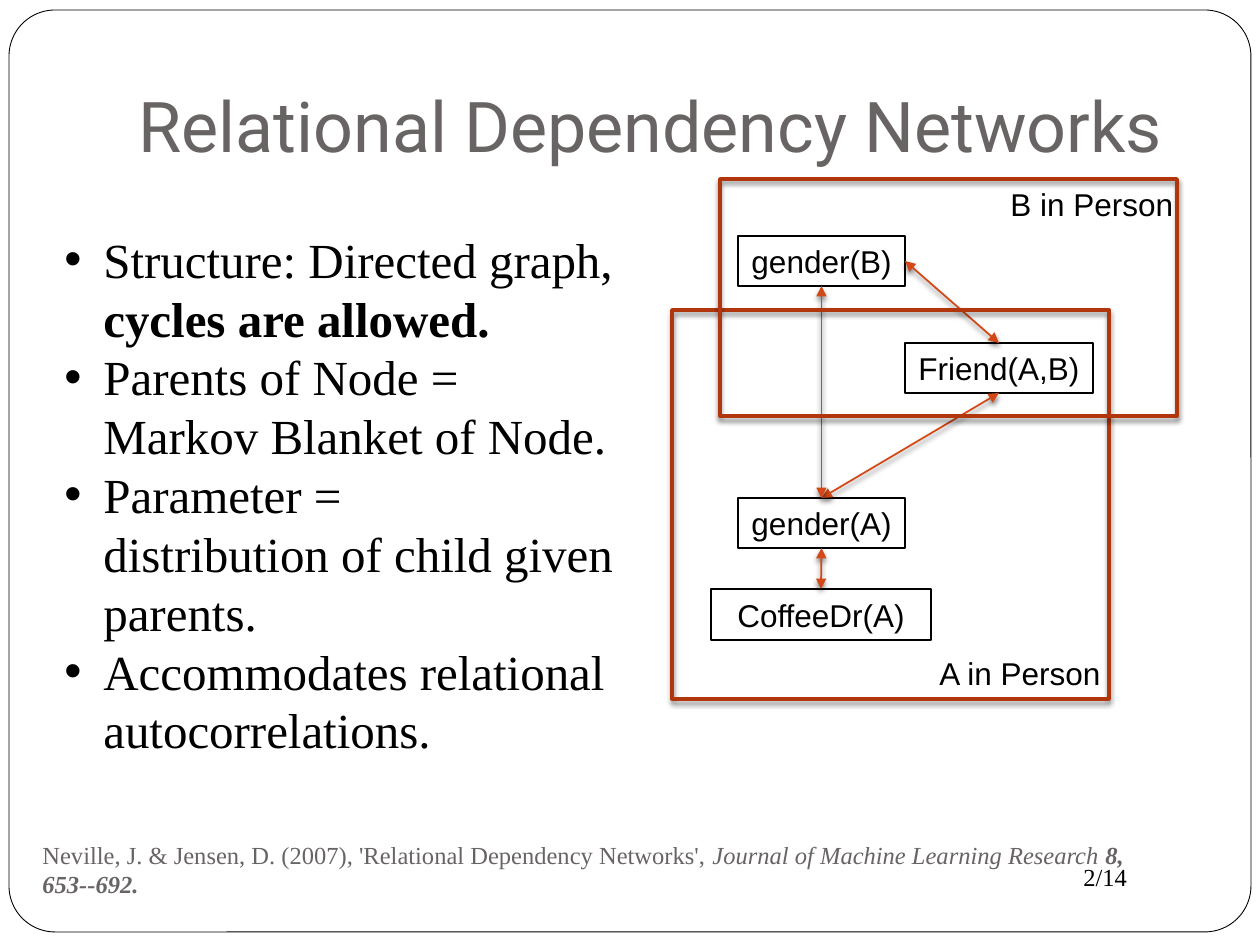
from lxml.etree import SubElement
from pptx import Presentation
from pptx.dml.color import RGBColor
from pptx.enum.shapes import MSO_CONNECTOR, MSO_SHAPE
from pptx.enum.text import MSO_ANCHOR, MSO_AUTO_SIZE, PP_ALIGN
from pptx.oxml.ns import qn
from pptx.util import Emu, Pt

PX = 914400 / 126
COLORS = {"black": "000000", "white": "FFFFFF", "gray": "696464",
          "arrow": "D34817", "frame": "B1360B"}
SERIF = {"name": "Times New Roman"}
LABEL = {"name": "Arial", "size": Pt(18)}


def px(*lengths):
    return [Emu(round(length * PX)) for length in lengths]


def color(name):
    return RGBColor.from_string(COLORS[name])


def set_values(target, values):
    for name, value in values.items():
        setattr(target, name, value)


def add_xml(parent, tag, **attributes):
    return SubElement(parent, qn(tag), attributes)


def add_runs(paragraph, runs, font, color_name):
    for text, extra in runs:
        if text == "\n":
            paragraph.add_line_break()
            continue
        run = paragraph.add_run()
        run.text = text
        set_values(run.font, {**font, **extra})
        run.font.color.rgb = color(color_name)


def add_text(slide, box, runs, font, color_name="black", **frame_format):
    frame = slide.shapes.add_textbox(*px(*box)).text_frame
    set_values(frame, {"word_wrap": True, **frame_format})
    add_runs(frame.paragraphs[0], runs, font, color_name)


def add_bullets(slide, box, items):
    frame = slide.shapes.add_textbox(*px(*box)).text_frame
    frame.word_wrap = True
    for index, runs in enumerate(items):
        paragraph = frame.add_paragraph() if index else frame.paragraphs[0]
        properties = paragraph._p.get_or_add_pPr()
        indent = px(39)[0]
        properties.set("marL", str(indent))
        properties.set("indent", str(-indent))
        add_xml(properties, "a:buFont", typeface="Arial")
        add_xml(properties, "a:buChar", char="•")
        add_runs(paragraph, runs, {**SERIF, "size": Pt(28)}, "black")


def add_shadow(shape):
    effects = add_xml(shape._element.spPr, "a:effectLst")
    shadow = add_xml(effects, "a:outerShdw", blurRad=str(Pt(3)), dist=str(Pt(2)),
                     dir="5400000", rotWithShape="0")
    shade = add_xml(shadow, "a:srgbClr", val=COLORS["black"])
    add_xml(shade, "a:alpha", val="50000")


def add_outline(slide, box, line_color, width, kind=MSO_SHAPE.RECTANGLE):
    shape = slide.shapes.add_shape(kind, *px(*box))
    shape.fill.background()
    shape.line.color.rgb = color(line_color)
    shape.line.width = Pt(width)
    return shape


def add_border(slide):
    border = add_outline(slide, (9, 10, 1242, 922), "black", 0.5, MSO_SHAPE.ROUNDED_RECTANGLE)
    border.shadow.inherit = False
    border.adjustments[0] = 0.05
    border.fill.solid()
    border.fill.fore_color.rgb = color("white")
    slide.shapes.title._element.addprevious(border._element)


def add_frame(slide, box):
    add_shadow(add_outline(slide, box, "frame", 2))


def add_node(slide, box, text):
    node = add_outline(slide, box, "black", 0.75)
    node.shadow.inherit = False
    set_values(node.text_frame, {"word_wrap": False, "vertical_anchor": MSO_ANCHOR.MIDDLE})
    paragraph = node.text_frame.paragraphs[0]
    paragraph.alignment = PP_ALIGN.CENTER
    add_runs(paragraph, [(text, {})], LABEL, "black")


def add_arrow(slide, start, end):
    arrow = slide.shapes.add_connector(MSO_CONNECTOR.STRAIGHT, *px(*start, *end))
    arrow.line.color.rgb = color("arrow")
    arrow.line.width = Pt(1)
    line = arrow.line._get_or_add_ln()
    for tag in ("a:headEnd", "a:tailEnd"):
        add_xml(line, tag, type="triangle")
    add_shadow(arrow)


def add_title(slide, text):
    title = slide.shapes.title
    left, top, width, height = px(126, 23, 1071, 157)
    set_values(title, {"left": left, "top": top, "width": width, "height": height})
    frame = title.text_frame
    set_values(frame, {"vertical_anchor": MSO_ANCHOR.BOTTOM, "margin_bottom": px(13)[0],
                       "auto_size": MSO_AUTO_SIZE.NONE})
    paragraph = frame.paragraphs[0]
    paragraph.alignment = PP_ALIGN.LEFT
    add_runs(paragraph, [(text, {})], {"name": "Roboto", "size": Pt(40)}, "gray")


def add_diagram(slide):
    nodes = {
        "CoffeeDr(A)": (711, 589, 220, 51),
        "Friend(A,B)": (905, 343, 188, 50),
        "gender(A)": (738, 498, 167, 50),
        "gender(B)": (738, 236, 167, 50),
    }
    for text, box in nodes.items():
        add_node(slide, box, text)

    def anchor(name, across, down):
        left, top, width, height = nodes[name]
        return left + width * across, top + height * down

    friend_top = anchor("Friend(A,B)", 0.5, 0)
    friend_bottom = anchor("Friend(A,B)", 0.5, 1)
    gender_a_top = anchor("gender(A)", 0.5, 0)
    gender_a_bottom = anchor("gender(A)", 0.5, 1)
    add_arrow(slide, friend_bottom, gender_a_top)
    add_arrow(slide, anchor("CoffeeDr(A)", 0.5, 0), gender_a_bottom)
    add_arrow(slide, anchor("gender(B)", 0.5, 1), gender_a_top)
    add_arrow(slide, friend_top, anchor("gender(B)", 1, 0.5))

    add_frame(slide, (672, 310, 437, 389))
    add_text(slide, (927, 648, 188, 51), [("A in Person", {})], LABEL)
    add_frame(slide, (720, 179, 457, 237))
    add_text(slide, (998, 179, 200, 51), [("B in Person", {})], LABEL)


def main():
    presentation = Presentation()
    presentation.slide_width, presentation.slide_height = px(1260, 945)
    slide = presentation.slides.add_slide(presentation.slide_layouts[5])
    add_border(slide)
    add_text(slide, (1071, 856, 126, 43), [("2/14", {})], {**SERIF, "size": Pt(14)})
    add_title(slide, "Relational Dependency Networks")
    add_text(slide, (30, 838, 1116, 63), [
        ("Neville, J. & Jensen, D. (2007), 'Relational Dependency Networks', ", {}),
        ("Journal of Machine Learning Research ", {"italic": True}),
        ("8, 653--692.", {"italic": True, "bold": True}),
    ], {**SERIF, "size": Pt(14)}, "gray", vertical_anchor=MSO_ANCHOR.MIDDLE)
    add_bullets(slide, (52, 223, 621, 547), [
        [("Structure: Directed graph, ", {}), ("cycles are allowed.", {"bold": True})],
        [("Parents of Node = ", {}), ("\n", {}), ("Markov Blanket of Node.", {})],
        [("Parameter = ", {}), ("\n", {}), ("distribution of child given parents.", {})],
        [("Accommodates relational autocorrelations.", {})],
    ])
    add_diagram(slide)
    presentation.save("out.pptx")


if __name__ == "__main__":
    main()
